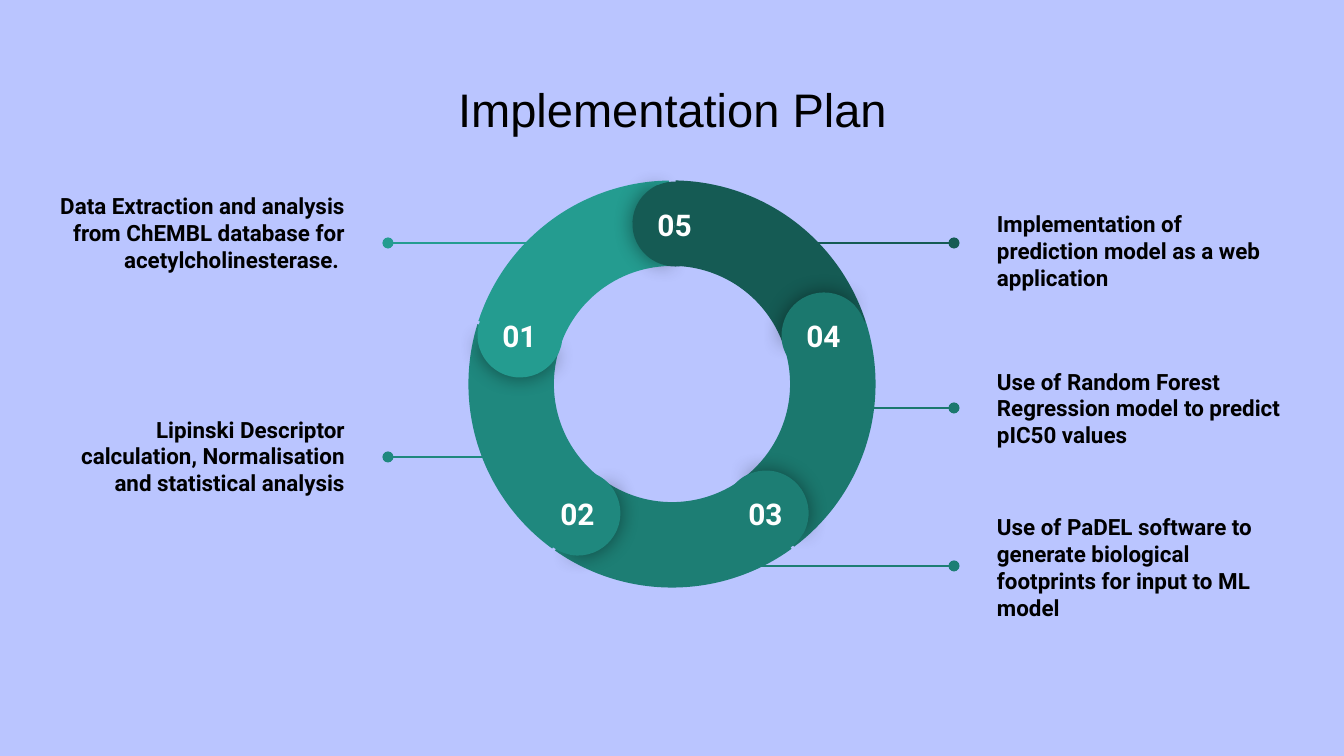
from dataclasses import dataclass
from math import cos, radians, sin

from lxml.etree import SubElement
from pptx import Presentation
from pptx.dml.color import RGBColor
from pptx.enum.shapes import MSO_CONNECTOR as Connector, MSO_SHAPE as Preset
from pptx.enum.text import MSO_ANCHOR as Anchor, MSO_AUTO_SIZE as AutoSize, PP_ALIGN as Align
from pptx.oxml.ns import qn
from pptx.util import Inches, Pt

WIDTH, HEIGHT = 1344, 756
SCALE = Inches(10) / WIDTH


def px(length):
    return round(length * SCALE)


@dataclass(frozen=True)
class Theme:
    background: str = "BAC5FF"
    ink: str = "000000"
    number: str = "FFFFFF"
    title_font: str = "Arial"
    body_font: str = "Roboto"
    title_size: float = 25.2
    body_size: int = 12
    number_size: int = 16
    line_width: float = 0.75
    inset: int = 13


@dataclass(frozen=True)
class Step:
    number: str
    caption: str
    color: str
    angle: int
    line_start: int
    line_end: int
    line_y: int
    caption_left: int
    caption_top: int
    align: Align
    lift: int = 0


RING_X, RING_Y = 672, 384
RING_SIZE, CAP_SIZE, CAP_ORBIT = 407, 85, 160
ARC_ADJUST = (126.03, 168.68, 0.21)
CAP_FRONT, CAP_BACK = (61.9, 149.96), (40.28, 171.84)
LEFT, RIGHT = 46, 984

STEPS = [
    Step("01", "Data Extraction and analysis from ChEMBL database for acetylcholinesterase. ",
         "249C90", 198, 569, 388, 243, LEFT, 183, Align.RIGHT, 18),
    Step("02", "Lipinski Descriptor calculation, Normalisation and statistical analysis",
         "1F887E", 126, 526, 388, 457, LEFT, 388, Align.RIGHT),
    Step("03", "Use of PaDEL software to generate biological footprints for input to ML model",
         "1D7E74", 54, 684, 954, 566, RIGHT, 499, Align.LEFT),
    Step("04", "Use of Random Forest Regression model to predict pIC50 values",
         "1B786E", -18, 825, 954, 408, RIGHT, 340, Align.LEFT),
    Step("05", "Implementation of prediction model as a web application",
         "155B54", -89, 766, 954, 243, RIGHT, 183, Align.LEFT),
]


class Deck:
    def __init__(self, theme):
        self.theme = theme
        self.file = Presentation()
        self.file.slide_width, self.file.slide_height = px(WIDTH), px(HEIGHT)
        self.slide = self.file.slides.add_slide(self.file.slide_layouts[5])
        fill = self.slide.background.fill
        fill.solid()
        fill.fore_color.rgb = RGBColor.from_string(theme.background)

    def set_text(self, frame, content, font, size, color, align, anchor, bold=False, lift=0):
        frame.text = content
        frame.word_wrap = True
        frame.auto_size = AutoSize.NONE
        frame.vertical_anchor = anchor
        frame.margin_left = frame.margin_right = px(self.theme.inset)
        frame.margin_top = px(max(self.theme.inset - lift, 0))
        frame.margin_bottom = px(max(self.theme.inset, 2 * lift))
        paragraph = frame.paragraphs[0]
        paragraph.alignment = align
        for run in paragraph.runs:
            run.font.name, run.font.size, run.font.bold = font, Pt(size), bold
            run.font.color.rgb = RGBColor.from_string(color)

    def title(self, content, left, top, width, height):
        heading = self.slide.shapes.title
        heading.left, heading.top = px(left), px(top)
        heading.width, heading.height = px(width), px(height)
        theme = self.theme
        self.set_text(heading.text_frame, content, theme.title_font, theme.title_size,
                      theme.ink, Align.CENTER, Anchor.MIDDLE)

    def text(self, content, left, top, width, height, size, color, align, anchor, lift=0):
        box = self.slide.shapes.add_textbox(px(left), px(top), px(width), px(height))
        self.set_text(box.text_frame, content, self.theme.body_font, size, color,
                      align, anchor, True, lift)

    def leader(self, start, end, y, color):
        leader = self.slide.shapes.add_connector(
            Connector.STRAIGHT, px(start), px(y), px(end), px(y))
        leader.line.color.rgb = RGBColor.from_string(color)
        leader.line.width = Pt(self.theme.line_width)
        outline = leader._element.spPr.find(qn("a:ln"))
        SubElement(outline, qn("a:tailEnd"), type="oval")
        SubElement(leader._element.spPr, qn("a:effectLst"))

    def sector(self, preset, x, y, size, adjust, rotation, color, glow=False):
        sector = self.slide.shapes.add_shape(
            preset, px(x - size / 2), px(y - size / 2), px(size), px(size))
        for index, value in enumerate(adjust):
            sector.adjustments[index] = value
        sector.rotation = rotation % 360
        sector.fill.solid()
        sector.fill.fore_color.rgb = RGBColor.from_string(color)
        sector.line.fill.background()
        sector.shadow.inherit = False
        if glow:
            effects = sector._element.spPr.find(qn("a:effectLst"))
            shadow = SubElement(effects, qn("a:outerShdw"), blurRad=str(Pt(11.2)),
                                dist="0", dir="0", algn="ctr", rotWithShape="0")
            shade = SubElement(shadow, qn("a:srgbClr"), val=self.theme.ink)
            SubElement(shade, qn("a:alpha"), val="43000")


def main():
    theme = Theme()
    deck = Deck(theme)
    deck.title("Implementation Plan", LEFT, 66, 1253, 85)
    for step in STEPS:
        deck.leader(step.line_start, step.line_end, step.line_y, step.color)
        deck.text(step.caption, step.caption_left, step.caption_top, 312, 136,
                  theme.body_size, theme.ink, step.align, Anchor.MIDDLE, step.lift)
    for step in STEPS:
        deck.sector(Preset.BLOCK_ARC, RING_X, RING_Y, RING_SIZE, ARC_ADJUST,
                    step.angle + 150, step.color)
    for step in STEPS:
        x = round(RING_X + CAP_ORBIT * cos(radians(step.angle)))
        y = round(RING_Y + CAP_ORBIT * sin(radians(step.angle)))
        turn = step.angle + 85
        deck.sector(Preset.PIE, x, y, CAP_SIZE, CAP_FRONT, turn, step.color, glow=True)
        deck.sector(Preset.PIE, x, y, CAP_SIZE, CAP_BACK, turn + 179, step.color)
        deck.text(step.number, x - 38, y - 30, 75, 39,
                  theme.number_size, theme.number, Align.CENTER, Anchor.TOP)
    deck.file.save("out.pptx")


if __name__ == "__main__":
    main()
